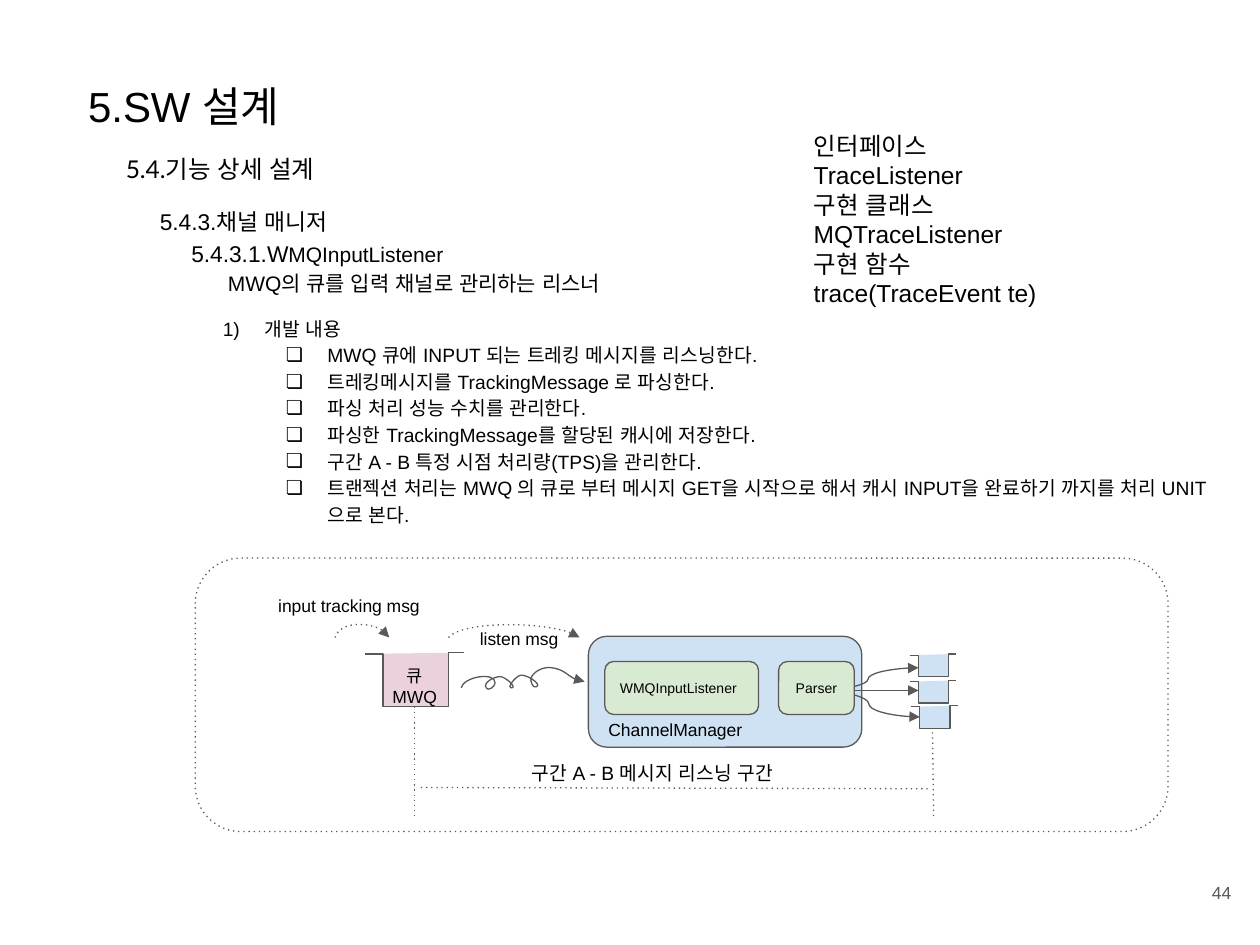
from dataclasses import dataclass
from typing import Optional

from lxml.etree import SubElement
from pptx import Presentation
from pptx.dml.color import RGBColor
from pptx.enum.shapes import MSO_CONNECTOR, MSO_SHAPE
from pptx.enum.text import MSO_ANCHOR, PP_ALIGN
from pptx.oxml.ns import qn
from pptx.util import Inches, Pt

GREY, BLACK = "595959", "000000"
PINK, BLUE, GREEN = "EAD1DC", "CFE2F3", "D9EAD3"
Point = tuple[float, float]


@dataclass
class Span:
    text: str
    size: float
    font: str = "Arial"
    color: str = BLACK


@dataclass
class Para:
    spans: list[Span]
    align: PP_ALIGN = PP_ALIGN.LEFT
    spacing: float = 1.0
    margin: float = 0
    bullet: str = ""


@dataclass
class Label:
    left: float
    top: float
    width: float
    height: float
    paras: list[Para]
    anchor: MSO_ANCHOR = MSO_ANCHOR.TOP


@dataclass
class Panel:
    left: float
    top: float
    width: float
    height: float
    fill: str
    para: Optional[Para] = None


@dataclass
class Curve:
    points: list[Point]
    dash: str = ""


def rgb(value: str) -> RGBColor:
    """Turn a hex string into a colour."""
    return RGBColor.from_string(value)


def single(text: str, size: float, **options) -> Para:
    """Make a paragraph with one run."""
    return Para([Span(text, size)], **options)


def add_bullet(para, bullet: str) -> None:
    """Give a paragraph a hanging bullet or an automatic number."""
    properties = para._p.get_or_add_pPr()
    properties.set("indent", str(Inches(-0.33)))
    color = SubElement(properties, qn("a:buClr"))
    SubElement(color, qn("a:srgbClr"), val=BLACK)
    SubElement(properties, qn("a:buFont"), typeface="Arial")
    if bullet == "1)":
        SubElement(properties, qn("a:buAutoNum"), type="arabicParenR")
    else:
        SubElement(properties, qn("a:buChar"), char=bullet)


def write(frame, paras: list[Para], anchor: MSO_ANCHOR) -> None:
    """Fill a text frame run by run."""
    frame.word_wrap = True
    frame.vertical_anchor = anchor
    frame.margin_left = frame.margin_right = Inches(0.1)
    frame.margin_top = frame.margin_bottom = Inches(0.1)
    for index, item in enumerate(paras):
        para = frame.add_paragraph() if index else frame.paragraphs[0]
        para._p.get_or_add_pPr().set("marL", str(Inches(item.margin)))
        if item.bullet:
            add_bullet(para, item.bullet)
        para.alignment = item.align
        para.line_spacing = item.spacing
        for span in item.spans:
            run = para.add_run()
            run.text = span.text
            run.font.size = Pt(span.size)
            run.font.color.rgb = rgb(span.color)
            run.font.name = span.font
            properties = run._r.get_or_add_rPr()
            properties.set("lang", "ko")
            for script in ("a:ea", "a:cs"):
                SubElement(properties, qn(script), typeface=span.font)


def add_label(page, label: Label) -> None:
    """Draw a text box."""
    box = page.shapes.add_textbox(Inches(label.left), Inches(label.top),
                                  Inches(label.width), Inches(label.height))
    write(box.text_frame, label.paras, label.anchor)


def style_line(line, dash: str = "", arrow: bool = False) -> None:
    """Set a thin grey line with an optional dash and arrowhead."""
    line.color.rgb = rgb(GREY)
    line.width = Pt(0.75)
    element = line._get_or_add_ln()
    if dash:
        SubElement(element, qn("a:prstDash"), val=dash)
    if arrow:
        SubElement(element, qn("a:tailEnd"), type="triangle")


def style_shape(shape, fill: str = "", dash: str = "", arrow: bool = False) -> None:
    """Set fill and line, and remove the shadow."""
    shape.shadow.inherit = False
    if fill:
        shape.fill.solid()
        shape.fill.fore_color.rgb = rgb(fill)
    else:
        shape.fill.background()
    style_line(shape.line, dash, arrow)


def add_panel(page, panel: Panel, dash: str = "",
              preset: MSO_SHAPE = MSO_SHAPE.FLOWCHART_ALTERNATE_PROCESS) -> None:
    """Draw a rounded panel."""
    shape = page.shapes.add_shape(preset, Inches(panel.left), Inches(panel.top),
                                  Inches(panel.width), Inches(panel.height))
    style_shape(shape, panel.fill, dash)
    if panel.para:
        write(shape.text_frame, [panel.para], MSO_ANCHOR.MIDDLE)


def add_outline(page, points: list[Point]):
    """Draw an open outline through the points."""
    corners = [(Inches(x), Inches(y)) for x, y in points]
    builder = page.shapes.build_freeform(*corners[0])
    builder.add_line_segments(corners[1:], close=False)
    return builder.convert_to_shape()


def add_queue(page, left: float, top: float, width: float, height: float,
              lip: float, inner: float, fill: str):
    """Draw an open-topped queue with a lip on either side."""
    low, first, last = top + height, left + lip, left + lip + inner
    shape = add_outline(page, [(left, top + 0.01), (first, top + 0.01), (first, low),
                               (last, low), (last, top), (left + width, top)])
    style_shape(shape, fill)
    return shape


def add_curve(page, curve: Curve) -> None:
    """Draw a chain of cubic curves, three points each, that ends in an arrowhead."""
    shape = add_outline(page, curve.points)
    segments = list(shape._element.iter(qn("a:lnTo")))
    for index in range(0, len(segments), 3):
        cubic = SubElement(segments[index].getparent(), qn("a:cubicBezTo"))
        for segment in segments[index:index + 3]:
            cubic.append(segment[0])
            segment.getparent().remove(segment)
    style_shape(shape, dash=curve.dash, arrow=True)


def add_link(page, start: Point, end: Point, kind=MSO_CONNECTOR.STRAIGHT,
             dash: str = "", arrow: bool = False) -> None:
    """Draw a connector without a shadow."""
    link = page.shapes.add_connector(kind, *map(Inches, start + end))
    style_line(link.line, dash, arrow)
    SubElement(link._element.spPr, qn("a:effectLst"))


HEADINGS = [
    Label(0.6, 0.54, 8.52, 0.54, [single("5.SW 설계", 24)]),
    Label(0.9, 1.09, 5.6, 0.47, [Para([Span("5.4.기능 상세 설계", 14, "Lato")], spacing=1.15)]),
    Label(9.27, 6.8, 0.6, 0.57, [Para([Span("44", 10, color=GREY)], PP_ALIGN.RIGHT)],
          MSO_ANCHOR.MIDDLE),
    Label(1.17, 1.52, 6.04, 1.28, [
        single("5.4.3.채널 매니저", 13, spacing=1.15),
        Para([Span("5.4.3.1.W", 13), Span("MQInputListener", 12)], spacing=1.15, margin=0.25),
        single("MWQ의 큐를 입력 채널로 관리하는 리스너", 12, spacing=1.15, margin=0.54)]),
]
TASKS = [
    "MWQ 큐에 INPUT 되는 트레킹 메시지를 리스닝한다.",
    "트레킹메시지를 TrackingMessage 로 파싱한다.",
    "파싱 처리 성능 수치를 관리한다.",
    "파싱한 TrackingMessage를 할당된 캐시에 저장한다.",
    "구간 A - B 특정 시점 처리량(TPS)을 관리한다.",
    "트랜젝션 처리는 MWQ 의 큐로 부터 메시지 GET을 시작으로 해서 "
    "캐시 INPUT을 완료하기 까지를 처리 UNIT 으로 본다.",
]
TASK_LIST = Label(1.5, 2.39, 8.2, 1.67, [
    single("개발 내용", 11, spacing=1.15, margin=0.5, bullet="1)"),
    *(single(task, 11, spacing=1.15, margin=1, bullet="❏") for task in TASKS)])
INTERFACE = ["인터페이스", "TraceListener", "구현 클래스", "MQTraceListener", "구현 함수",
             "trace(TraceEvent te)"]
CAPTIONS = [
    Label(2.11, 4.64, 1.37, 0.42, [single("input tracking msg", 10)]),
    Label(3.71, 4.9, 1.37, 0.42, [single("listen msg", 10)]),
    Label(4.12, 5.95, 2.91, 0.69, [single("구간 A - B 메시지 리스닝 구간", 11)]),
    Label(4.73, 5.62, 1.81, 0.42, [single("ChannelManager", 10)]),
    Label(6.36, 0.94, 3.28, 2.35, [single(line, 14) for line in INTERFACE]),
]
CURVES = [
    Curve([(2.66, 5.06), (2.7, 4.93), (3.03, 4.93), (3.09, 5.06)], "dot"),
    Curve([(3.56, 5.06), (3.67, 4.93), (4.44, 4.93), (4.6, 5.06)], "dot"),
    Curve([(3.66, 5.46),
           (3.68, 5.37), (3.93, 5.33), (3.93, 5.42), (3.93, 5.45), (3.87, 5.49), (3.86, 5.46),
           (3.83, 5.42), (3.92, 5.37), (3.97, 5.37), (4.01, 5.37), (4.11, 5.46), (4.06, 5.46),
           (4.02, 5.46), (4.09, 5.37), (4.13, 5.36), (4.18, 5.35), (4.3, 5.43), (4.26, 5.45),
           (4.23, 5.47), (4.2, 5.4), (4.22, 5.37), (4.25, 5.32), (4.32, 5.29), (4.38, 5.3),
           (4.47, 5.31), (4.55, 5.41), (4.64, 5.41)]),
]
GUIDES = [((3.29, 5.61), (3.29, 6.49)), ((7.4, 5.73), (7.41, 6.5)), ((3.34, 6.25), (7.39, 6.26))]
CACHES = [(7.22, 5.19, 5.3), (7.22, 5.4, 5.48), (7.23, 5.6, 5.69)]
PARTS = [Panel(6.18, 5.25, 0.6, 0.42, GREEN, single("Parser", 8, align=PP_ALIGN.CENTER)),
         Panel(4.8, 5.25, 1.22, 0.42, GREEN, single("WMQInputListener", 8))]


def main() -> None:
    """Build the slide and save the deck."""
    deck = Presentation()
    deck.slide_width, deck.slide_height = Inches(10), Inches(7.5)
    page = deck.slides.add_slide(deck.slide_layouts[6])
    add_panel(page, Panel(1.55, 4.43, 7.72, 2.17, ""), "dot", MSO_SHAPE.ROUNDED_RECTANGLE)
    for label in HEADINGS:
        add_label(page, label)
    queue = add_queue(page, 2.9, 5.18, 0.78, 0.43, 0.14, 0.52, PINK)
    write(queue.text_frame, [single(text, 10, align=PP_ALIGN.CENTER) for text in ("큐", "MWQ")],
          MSO_ANCHOR.TOP)
    for curve in CURVES:
        add_curve(page, curve)
    add_label(page, TASK_LIST)
    for start, end in GUIDES:
        add_link(page, start, end, dash="dot")
    add_panel(page, Panel(4.67, 5.05, 2.17, 0.88, BLUE))
    for left, top, _ in CACHES:
        add_queue(page, left, top, 0.37, 0.18, 0.07, 0.24, BLUE)
    for left, _, entry in CACHES:
        add_link(page, (6.49, 5.48), (left + 0.07, entry), MSO_CONNECTOR.CURVE, arrow=True)
    for part in PARTS:
        add_panel(page, part)
    for label in CAPTIONS:
        add_label(page, label)
    deck.save("out.pptx")


if __name__ == "__main__":
    main()
